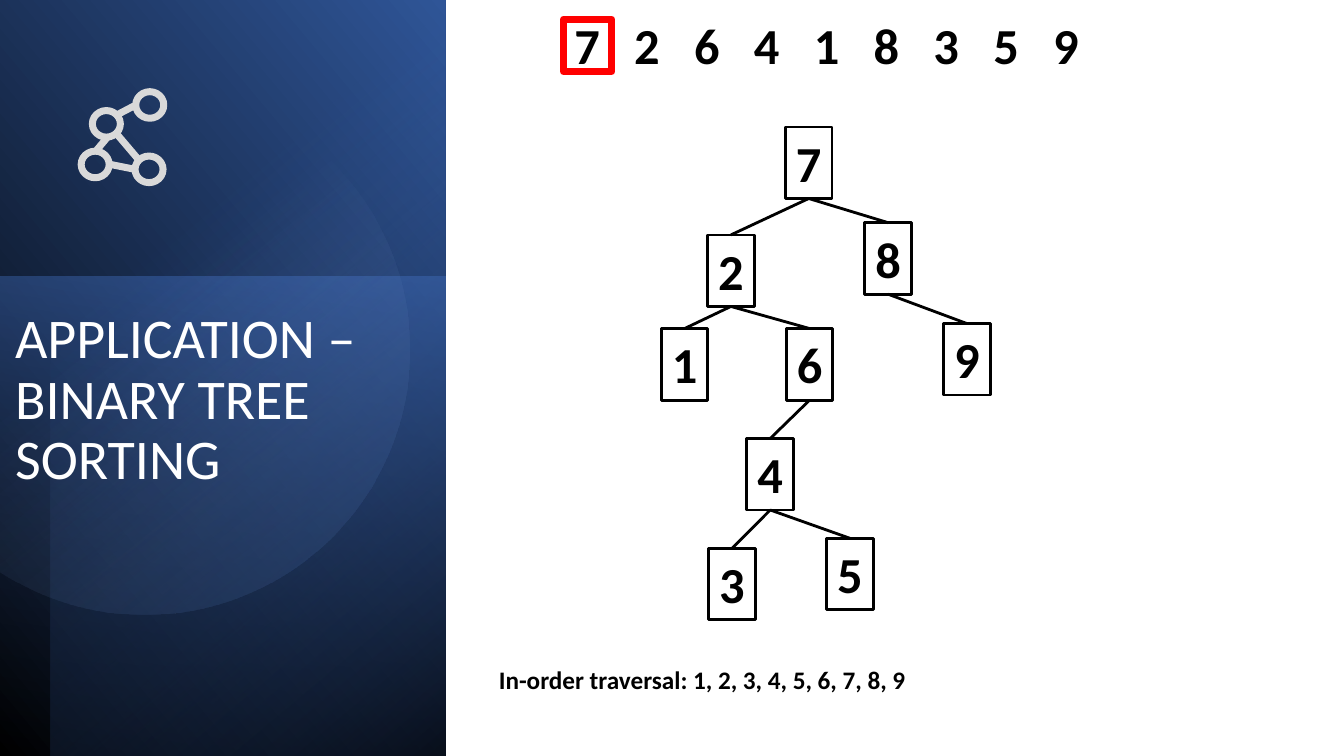
from dataclasses import dataclass
from math import acos, cos, pi, sin

from lxml.etree import SubElement
from pptx import Presentation
from pptx.dml.color import RGBColor
from pptx.enum.shapes import MSO_CONNECTOR, MSO_SHAPE
from pptx.enum.text import MSO_ANCHOR, MSO_AUTO_SIZE, PP_ALIGN
from pptx.oxml import parse_xml
from pptx.oxml.ns import nsdecls, qn
from pptx.util import Pt


@dataclass(frozen=True)
class Theme:
    font: str = "Calibri"
    ink: str = "000000"
    pale: str = "FFFFFF"
    ring: str = "D9D9D9"
    mark: str = "FF0000"
    blue: str = "4472C4"
    deep: str = "2F5597"
    navy: str = "203864"
    mist: str = "8FAADC"
    head: int = 40
    digit: int = 36
    note: int = 18
    thin: int = 2
    bold: int = 5


LOOK = Theme()

# value: (left, top, parent), measured inside the tree's box
NODES = {
    "7": (89, 0.7, None),
    "2": (33.4, 77.8, "7"),
    "8": (145.8, 69.1, "7"),
    "1": (0.3, 144.7, "2"),
    "6": (89.6, 144.7, "2"),
    "9": (201.9, 141.1, "8"),
    "4": (61.5, 223.2, "6"),
    "3": (34.2, 301.7, "4"),
    "5": (118.4, 294.5, "4"),
}


def hue(code):
    return RGBColor.from_string(code)


def style(frame, size, tint, bold):
    for para in frame.paragraphs:
        for run in para.runs:
            run.font.name = LOOK.font
            run.font.size = Pt(size)
            run.font.bold = bold
            run.font.color.rgb = hue(tint)


def label(page, text, box, size, wrap=False):
    item = page.shapes.add_textbox(*map(Pt, box))
    frame = item.text_frame
    frame.text = text
    frame.word_wrap = wrap
    style(frame, size, LOOK.ink, True)
    return item


def stroke(item, tint, width):
    item.line.color.rgb = hue(tint)
    item.line.width = Pt(width)


def outline(page, kind, box, tint, width):
    item = page.shapes.add_shape(kind, *map(Pt, box))
    item.shadow.inherit = False
    item.fill.background()
    stroke(item, tint, width)


def link(page, ends, tint, width):
    line = page.shapes.add_connector(MSO_CONNECTOR.STRAIGHT, *map(Pt, ends))
    stroke(line, tint, width)
    SubElement(line._element.spPr, qn("a:effectLst"))
    return line


def blend(item, stops, angle):
    """Fill with (position, colour, opacity) stops, angle clockwise."""
    item.shadow.inherit = False
    item.line.fill.background()
    item.fill.background()
    marks = "".join(
        f'<a:gs pos="{pos * 1000}"><a:srgbClr val="{tint}">'
        f'<a:alpha val="{alpha * 1000}"/></a:srgbClr></a:gs>'
        for pos, tint, alpha in stops)
    grad = parse_xml(
        f'<a:gradFill {nsdecls("a")} rotWithShape="1"><a:gsLst>{marks}</a:gsLst>'
        f'<a:lin ang="{round(angle * 60000)}" scaled="0"/></a:gradFill>')
    props = item._element.spPr
    props.replace(props.find(qn("a:noFill")), grad)


def veil(page, box, turn, flip, stops, angle):
    """Quarter-turned rectangle that covers the given box."""
    left, top, wide, high = box
    shift = (wide - high) / 2
    item = page.shapes.add_shape(
        MSO_SHAPE.RECTANGLE, Pt(left + shift), Pt(top - shift), Pt(high), Pt(wide))
    item.rotation = turn
    if flip:
        item._element.spPr.xfrm.set("flipH", "1")
    blend(item, stops, angle)


def disc(page, left, x, y, radius):
    """Circle cut off along the panel's left edge."""
    edge = acos((left - x) / radius)
    count = 120
    spots = []
    for step in range(count + 1):
        turn = edge * (2 * step / count - 1)
        spots.append((Pt(x + radius * cos(turn)), Pt(y + radius * sin(turn))))
    pen = page.shapes.build_freeform(*spots[0])
    pen.add_line_segments(spots[1:], close=True)
    blend(pen.convert_to_shape(), [(39, LOOK.mist, 0), (100, LOOK.deep, 26)], 51.6)


def icon(page, left, top):
    for x, y in ((0, 43), (8, 14), (38.5, 46.5), (39, 0.5)):
        outline(page, MSO_SHAPE.OVAL, (left + x, top + y, 20, 19), LOOK.ring, LOOK.bold)
    for x, y, right, low in ((10.4, 43, 18.3, 33.6), (25.5, 30.8, 41.4, 49.5),
                             (20.5, 52.4, 38.5, 56), (25.5, 17.1, 39.2, 9.9)):
        ends = (left + x, top + y, left + right, top + low)
        link(page, ends, LOOK.ring, LOOK.bold)


def panel(page, box):
    left, top, wide, high = box
    # Layered background
    veil(page, (left, top, wide, high + 1.4), 90, True,
         [(0, LOOK.ink, 100), (100, LOOK.deep, 100)], 310)
    veil(page, (left, top + 197.3, wide, high - 197.3), 270, False,
         [(0, LOOK.blue, 50), (100, LOOK.navy, 0)], 190)
    veil(page, (left + 36, top, wide - 36, high), 270, True,
         [(0, LOOK.ink, 59), (69, LOOK.blue, 0)], 220)
    disc(page, left, left + 103, top + 249.8, 189.4)

    # Title, lifted above the background
    title = page.shapes.title
    title.left, title.top = Pt(left + 3.6), Pt(top + 218.2)
    title.width, title.height = Pt(wide - 4.3), Pt(242)
    frame = title.text_frame
    frame.text = "APPLICATION – BINARY TREE SORTING"
    frame.word_wrap = True
    frame.auto_size = MSO_AUTO_SIZE.NONE
    frame.vertical_anchor = MSO_ANCHOR.TOP
    frame.paragraphs[0].alignment = PP_ALIGN.LEFT
    frame.paragraphs[0].line_spacing = 0.9
    style(frame, LOOK.head, LOOK.pale, False)
    title._element.getparent().append(title._element)

    icon(page, left + 58, top + 65)


def series(page, box):
    """Input numbers at equal tab stops, the first one framed."""
    digits = "726418359"
    pitch = 42.75
    item = label(page, "\t".join(digits), box, LOOK.digit, True)
    props = item.text_frame.paragraphs[0]._p.get_or_add_pPr()
    tabs = SubElement(props, qn("a:tabLst"))
    for step in range(1, len(digits)):
        SubElement(tabs, qn("a:tab"), pos=str(Pt(step * pitch)), algn="l")
    outline(page, MSO_SHAPE.RECTANGLE, (box[0] - 0.7, box[1] + 7.2, 34.6, 37.4),
            LOOK.mark, LOOK.bold)


def tree(page, left, top):
    made = {}
    for value, (x, y, parent) in NODES.items():
        node = label(page, value, (left + x, top + y, 33.4, 51.1), LOOK.digit)
        node.text_frame.paragraphs[0].alignment = PP_ALIGN.CENTER
        stroke(node, LOOK.ink, LOOK.thin)
        made[value] = node
        if parent:
            line = link(page, (0, 0, 0, 0), LOOK.ink, LOOK.thin)
            line.begin_connect(node, 0)
            line.end_connect(made[parent], 2)


def main():
    deck = Presentation()
    deck.slide_width, deck.slide_height = Pt(960), Pt(540)
    page = deck.slides.add_slide(deck.slide_layouts[5])
    panel(page, (0, 0, 318.2, 540))
    series(page, (403.2, 6.5, 377.3, 51.1))
    tree(page, 472, 90)
    label(page, "In-order traversal: 1, 2, 3, 4, 5, 6, 7, 8, 9",
          (349.2, 470.9, 308.2, 28.8), LOOK.note)
    deck.save("out.pptx")


if __name__ == "__main__":
    main()
